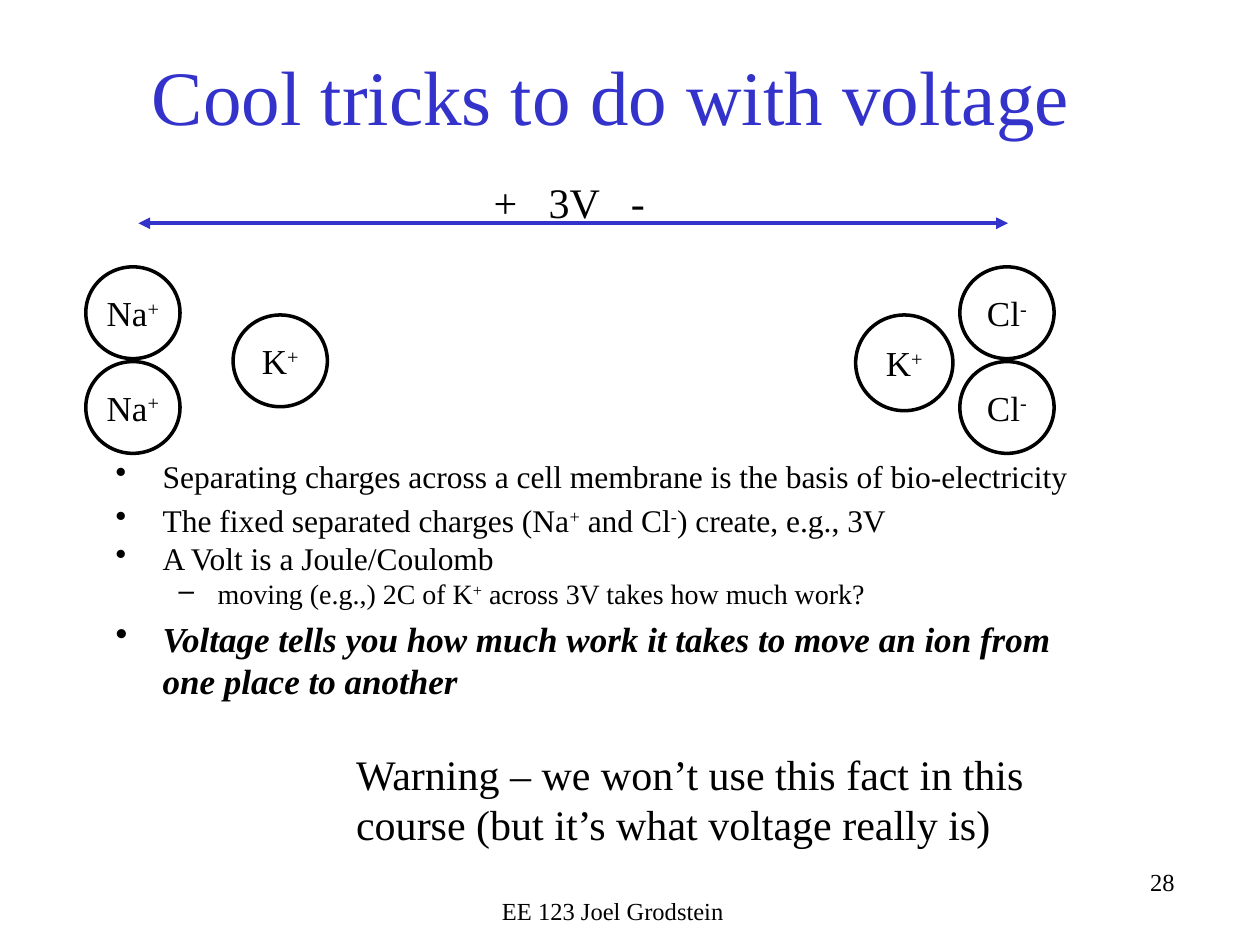
from lxml import etree
from pptx import Presentation
from pptx.dml.color import RGBColor
from pptx.enum.shapes import MSO_CONNECTOR, MSO_SHAPE
from pptx.enum.text import MSO_ANCHOR, MSO_AUTO_SIZE, PP_ALIGN
from pptx.oxml.ns import qn
from pptx.util import Cm, Pt

OVAL = MSO_SHAPE.OVAL
STRAIGHT = MSO_CONNECTOR.STRAIGHT
MIDDLE, TOP = MSO_ANCHOR.MIDDLE, MSO_ANCHOR.TOP
NO_FIT = MSO_AUTO_SIZE.NONE
LEFT, CENTER, RIGHT = PP_ALIGN.LEFT, PP_ALIGN.CENTER, PP_ALIGN.RIGHT

COLORS = {"ink": "000000", "accent": "3333CC", "paper": "FFFFFF"}
FONT = "Times New Roman"

TITLE = "Cool tricks to do with voltage"
POINTS = [
    {"text": "Separating charges across a cell membrane is the basis of bio-electricity"},
    {"text": "The fixed separated charges (Na^+^ and Cl^-^) create, e.g., 3V", "before": 3.6},
    {"text": "A Volt is a Joule/Coulomb"},
    {"text": "moving (e.g.,) 2C of K^+^ across 3V takes how much work?", "size": 16, "level": 1},
    {"text": "Voltage tells you how much work it takes to move an ion from one place to another",
     "size": 20, "before": 4, "strong": True},
]
BULLETS = [("•", 0.95, -0.95), ("–", 2.06, -0.79)]
LABELS = [
    ("28", (15.88, 17.35, 8.05, 1.27), {"size": 14, "align": RIGHT}),
    ("EE 123 Joel Grodstein", (8.33, 17.93, 8.05, 0.86), {"size": 14, "align": CENTER}),
    ("Warning – we won’t use this fact in this course (but it’s what voltage really is)",
     (6.93, 14.96, 14.07, 2.31), {"size": 24}),
    ("+\t3V\t-", (9.7, 3.43, 4.01, 1.27), {"size": 24, "tabs": (1.11, 2.77)}),
]
ION_SIZE = (1.9, 1.85)
FIXED_COLUMNS = [("Na^+^", 1.73), ("Cl^-^", 19.35)]
FIXED_ROWS = [5.38, 7.29]
MOVING_IONS = [("K^+^", 4.7, 6.35, *ION_SIZE), ("K^+^", 17.25, 6.35, 1.96, 1.93)]
VOLTAGE_SPAN = (2.79, 20.32, 4.5)


def color(name):
    return RGBColor.from_string(COLORS[name])


def write(para, text, size=18, ink="ink", align=LEFT, before=0, level=0,
          strong=False, bullet=None, tabs=()):
    properties = para._p.get_or_add_pPr()
    if bullet:
        mark, margin, indent = bullet
        properties.set("marL", str(Cm(margin)))
        properties.set("indent", str(Cm(indent)))
        etree.SubElement(properties, qn("a:buChar"), char=mark)
    if tabs:
        stops = etree.SubElement(properties, qn("a:tabLst"))
        for stop in tabs:
            etree.SubElement(stops, qn("a:tab"), pos=str(Cm(stop)), algn="l")
    para.alignment, para.level = align, level
    para.space_before = Pt(before)
    for index, part in enumerate(text.split("^")):
        if not part:
            continue
        span = para.add_run()
        span.text = part
        span.font.name, span.font.size = FONT, Pt(size)
        span.font.bold = span.font.italic = strong
        span.font.color.rgb = color(ink)
        if index % 2:
            span._r.get_or_add_rPr().set("baseline", "30000")


def prepare(box, anchor=TOP):
    frame = box.text_frame
    frame.word_wrap, frame.auto_size = True, NO_FIT
    frame.vertical_anchor = anchor
    return frame


def add_box(page, place):
    return prepare(page.shapes.add_textbox(*map(Cm, place)))


def add_ion(page, text, *place):
    ion = page.shapes.add_shape(OVAL, *map(Cm, place))
    ion.shadow.inherit = False
    ion.fill.background()
    ion.line.color.rgb, ion.line.width = color("ink"), Pt(2)
    frame = prepare(ion, MIDDLE)
    frame.margin_left = frame.margin_right = frame.margin_top = frame.margin_bottom = 0
    write(frame.paragraphs[0], text, size=20, align=CENTER)


def add_voltage_arrow(page, start, end, height):
    arrow = page.shapes.add_connector(STRAIGHT, Cm(start), Cm(height), Cm(end), Cm(height))
    arrow.line.color.rgb, arrow.line.width = color("accent"), Pt(2.25)
    outline = arrow.line._get_or_add_ln()
    for end_tag in ("a:headEnd", "a:tailEnd"):
        etree.SubElement(outline, qn(end_tag), type="triangle")
    etree.SubElement(arrow._element.spPr, qn("a:effectLst"))


def main():
    deck = Presentation()
    deck.slide_width, deck.slide_height = Cm(25.4), Cm(19.05)
    page = deck.slides.add_slide(deck.slide_layouts[5])
    page.background.fill.solid()
    page.background.fill.fore_color.rgb = color("paper")

    title = page.shapes.title
    title.left, title.top, title.width, title.height = map(Cm, (1.12, 0.84, 22.4, 2.13))
    write(prepare(title, MIDDLE).paragraphs[0], TITLE, size=44, ink="accent", align=CENTER)

    body = add_box(page, (2.08, 9.09, 20.07, 6.15))
    for index, point in enumerate(POINTS):
        para = body.add_paragraph() if index else body.paragraphs[0]
        write(para, bullet=BULLETS[point.get("level", 0)], **point)

    for text, left in FIXED_COLUMNS:
        for top in FIXED_ROWS:
            add_ion(page, text, left, top, *ION_SIZE)
    for ion in MOVING_IONS:
        add_ion(page, *ion)

    for text, place, style in LABELS:
        write(add_box(page, place).paragraphs[0], text, **style)
    add_voltage_arrow(page, *VOLTAGE_SPAN)

    deck.save("out.pptx")


if __name__ == "__main__":
    main()
